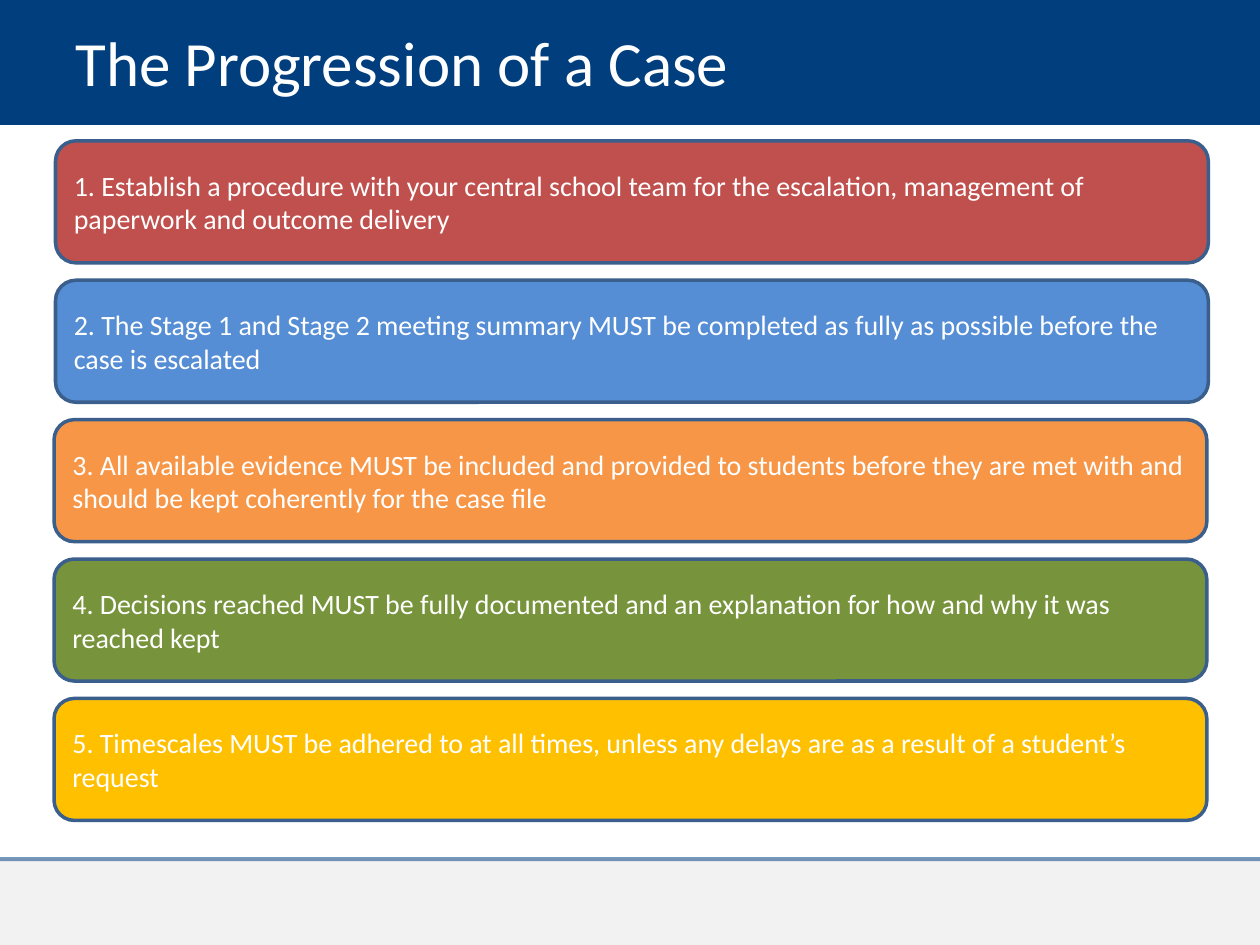
from lxml import etree
from pptx import Presentation
from pptx.dml.color import RGBColor
from pptx.enum.shapes import MSO_CONNECTOR, MSO_SHAPE
from pptx.enum.text import MSO_ANCHOR, PP_ALIGN
from pptx.oxml.ns import qn
from pptx.util import Cm, Pt

RECT = MSO_SHAPE.RECTANGLE
ROUNDED = MSO_SHAPE.ROUNDED_RECTANGLE
STRAIGHT = MSO_CONNECTOR.STRAIGHT
MIDDLE = MSO_ANCHOR.MIDDLE
LEFT = PP_ALIGN.LEFT

COLORS = {
    "navy": "003E7E", "gray": "808080", "white": "FFFFFF", "outline": "3A5F8C",
    "red": "C0504D", "blue": "558ED5", "orange": "F79646",
    "green": "77933C", "yellow": "FFC000",
}
SLIDE_W, SLIDE_H = 25.4, 19.05
FOOTER_TOP = 17.32
STEP_W, STEP_H = 23.24, 2.46
STEP_TOP, STEP_PITCH = 2.84, 2.81

STEPS = [
    ("red", 1.12, "1. Establish a procedure with your central school team for the "
     "escalation, management of paperwork and outcome delivery"),
    ("blue", 1.12, "2. The Stage 1 and Stage 2 meeting summary MUST be completed as "
     "fully as possible before the case is escalated"),
    ("orange", 1.09, "3. All available evidence MUST be included and provided to students "
     "before they are met with and should be kept coherently for the case file"),
    ("green", 1.09, "4. Decisions reached MUST be fully documented and an explanation for "
     "how and why it was reached kept"),
    ("yellow", 1.09, "5. Timescales MUST be adhered to at all times, unless any delays are "
     "as a result of a student’s request"),
]


def write_text(sp, text, size):
    tf = sp.text_frame
    tf.word_wrap = True
    tf.vertical_anchor = MIDDLE
    p = tf.paragraphs[0]
    p.alignment = LEFT
    r = p.add_run()
    r.text = text
    r.font.name = "Calibri"
    r.font.size = Pt(size)
    r.font.color.rgb = RGBColor.from_string(COLORS["white"])


def set_opacity(sp, percent):
    """Set the opacity of the first solid colour of a shape or line."""
    color = next(sp._element.spPr.iter(qn("a:srgbClr")))
    etree.SubElement(color, qn("a:alpha"), val=str(percent * 1000))


prs = Presentation()
prs.slide_width, prs.slide_height = Cm(SLIDE_W), Cm(SLIDE_H)
s = prs.slides.add_slide(prs.slide_layouts[6])

# Header and footer bands
for top, height, color, opacity in [
    (0, 2.52, "navy", 100),
    (FOOTER_TOP, SLIDE_H - FOOTER_TOP, "gray", 10),
]:
    sp = s.shapes.add_shape(RECT, 0, Cm(top), Cm(SLIDE_W), Cm(height))
    sp.shadow.inherit = False
    sp.fill.solid()
    sp.fill.fore_color.rgb = RGBColor.from_string(COLORS[color])
    sp.line.fill.background()
    if opacity < 100:
        set_opacity(sp, opacity)

rule = s.shapes.add_connector(STRAIGHT, 0, Cm(FOOTER_TOP), Cm(SLIDE_W), Cm(FOOTER_TOP))
rule.line.color.rgb = RGBColor.from_string(COLORS["navy"])
rule.line.width = Pt(2.25)
set_opacity(rule, 52)
etree.SubElement(rule._element.spPr, qn("a:effectLst"))

title = s.shapes.add_textbox(Cm(1.27), Cm(0.36), Cm(17.63), Cm(1.75))
write_text(title, "The Progression of a Case", 36)

# One rounded box per step
for i, (color, left, text) in enumerate(STEPS):
    sp = s.shapes.add_shape(ROUNDED, Cm(left), Cm(STEP_TOP + i * STEP_PITCH),
                            Cm(STEP_W), Cm(STEP_H))
    sp.shadow.inherit = False
    sp.fill.solid()
    sp.fill.fore_color.rgb = RGBColor.from_string(COLORS[color])
    sp.line.color.rgb = RGBColor.from_string(COLORS["outline"])
    sp.line.width = Pt(2)
    write_text(sp, text, 16)

prs.save("out.pptx")
